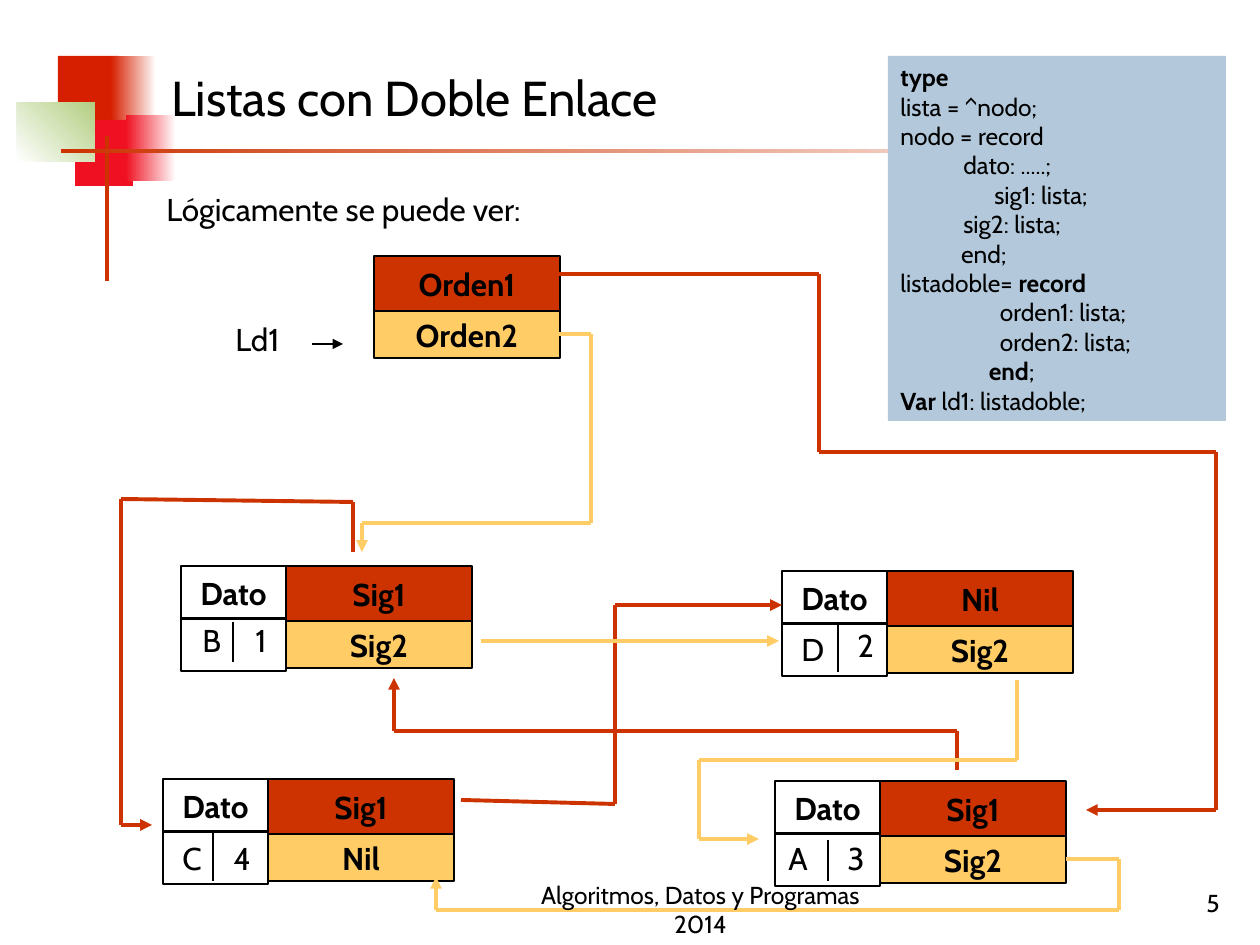
from itertools import pairwise

from lxml import etree
from pptx import Presentation
from pptx.dml.color import RGBColor
from pptx.enum.shapes import MSO_CONNECTOR, MSO_SHAPE
from pptx.enum.text import MSO_ANCHOR, PP_ALIGN
from pptx.oxml.ns import qn
from pptx.util import Pt

RECT = MSO_SHAPE.RECTANGLE
STRAIGHT = MSO_CONNECTOR.STRAIGHT
LEFT, CENTER, RIGHT = PP_ALIGN.LEFT, PP_ALIGN.CENTER, PP_ALIGN.RIGHT
TOP, MIDDLE, BOTTOM = MSO_ANCHOR.TOP, MSO_ANCHOR.MIDDLE, MSO_ANCHOR.BOTTOM

PX_PER_INCH = 126
COLORS = {
    "ink": "000000", "white": "FFFFFF", "order1": "CC3300", "order2": "FFCC66",
    "red": "D61F00", "crimson": "EF1121", "green": "B3CE82", "code": "B3C9DB",
}


def px(length):
    return round(length * 914400 / PX_PER_INCH)


def rgb(name):
    return RGBColor.from_string(COLORS[name])


def write(shape, text, size=18, bold=False, align=LEFT, anchor=TOP, wrap=True):
    """Fill a shape with one paragraph per line; **marks** enclose bold runs."""
    frame = shape.text_frame
    frame.word_wrap = wrap
    frame.vertical_anchor = anchor
    for index, line in enumerate(text.split("\n")):
        paragraph = frame.paragraphs[0] if index == 0 else frame.add_paragraph()
        paragraph.alignment = align
        for part, words in enumerate(line.split("**")):
            if words:
                run = paragraph.add_run()
                run.text = words
                run.font.name = "Cabin"
                run.font.size = Pt(size)
                run.font.bold = bold or part % 2 == 1
                run.font.color.rgb = rgb("ink")


class Board:
    def __init__(self, slide):
        self.shapes = slide.shapes

    def box(self, x, y, w, h, fill=None, fade=None, angle=0, outlined=False):
        """Rectangle with no fill, a plain fill, or a gradient from fill to fade."""
        shape = self.shapes.add_shape(RECT, px(x), px(y), px(w), px(h))
        shape.shadow.inherit = False
        if fade:
            shape.fill.gradient()
            shape.fill.gradient_angle = angle
            for stop, name in zip(shape.fill.gradient_stops, (fill, fade)):
                stop.color.rgb = rgb(name)
        elif fill:
            shape.fill.solid()
            shape.fill.fore_color.rgb = rgb(fill)
        else:
            shape.fill.background()
        if outlined:
            shape.line.color.rgb = rgb("ink")
            shape.line.width = Pt(0.75)
        else:
            shape.line.fill.background()
        return shape

    def label(self, x, y, w, h, text, **style):
        write(self.shapes.add_textbox(px(x), px(y), px(w), px(h)), text, **style)

    def cell(self, x, y, w, h, text, fill=None):
        write(self.box(x, y, w, h, fill, outlined=True), text,
              bold=True, align=CENTER, anchor=MIDDLE, wrap=False)

    def route(self, points, color="ink", width=2.25, arrow=True):
        """Chain of straight lines through the points, with an arrow at the end."""
        for start, end in pairwise(points):
            line = self.shapes.add_connector(
                STRAIGHT, *(px(value) for value in (*start, *end)))
            line.line.color.rgb = rgb(color)
            line.line.width = Pt(width)
            properties = line._element.spPr
            etree.SubElement(properties, qn("a:effectLst"))
        if arrow:
            outline = properties.find(qn("a:ln"))
            etree.SubElement(outline, qn("a:tailEnd"), type="triangle")

    def links(self, x, y, first, second):
        self.cell(x, y, 186, 55, first, "order1")
        self.cell(x, y + 55, 186, 47, second, "order2")

    def node(self, x, y, first, second):
        self.cell(x, y, 105, 53, "Dato")
        self.box(x, y + 52, 105, 53, outlined=True)
        self.links(x + 105, y, first, second)

    def data(self, letter, number, letter_at, number_at, divider):
        """Letter and number of a node, split by a divider (x, top, bottom)."""
        x, top, bottom = divider
        self.route([(x, top), (x, bottom)], width=1, arrow=False)
        self.label(*letter_at, 45, 50, letter, wrap=False)
        self.label(*number_at, 43, 50, number, wrap=False)


CODE = """**type**
lista = ^nodo;
nodo = record
\tdato: .....;
                 sig1: lista;
\tsig2: lista;
           end;
listadoble= **record**
                  orden1: lista;
                  orden2: lista;
                **end**;
**Var **ld1: listadoble;"""

NODES = [
    (181, 566, "Sig1", "Sig2"),
    (782, 571, "Nil", "Sig2"),
    (163, 779, "Sig1", "Nil"),
    (775, 781, "Sig1", "Sig2"),
]
NODE_DATA = [
    ("B", "1", (190, 615), (243, 615), (233, 622, 662)),
    ("D", "2", (789, 624), (845, 620), (838, 622, 672)),
    ("C", "4", (170, 833), (221, 833), (213, 830, 881)),
    ("A", "3", (776, 833), (835, 833), (828, 840, 881)),
]
ROUTES = {
    "order1": [
        [(541, 274), (819, 274), (819, 452), (1216, 452), (1216, 810), (1086, 810)],
        [(957, 770), (957, 731), (394, 731), (394, 678)],
        [(353, 552), (353, 502), (121, 499), (121, 825), (152, 825)],
        [(461, 800), (615, 804), (615, 605), (782, 605)],
    ],
    "order2": [
        [(541, 334), (591, 334), (591, 523), (362, 523), (362, 552)],
        [(481, 641), (779, 641)],
        [(1017, 680), (1017, 760), (699, 760), (699, 839), (759, 839)],
        [(1066, 859), (1119, 859), (1119, 910), (436, 910), (436, 877)],
    ],
}


def main():
    deck = Presentation()
    deck.slide_width, deck.slide_height = px(1260), px(945)
    board = Board(deck.slides.add_slide(deck.slide_layouts[6]))

    board.box(58, 56, 61, 65, "red")
    board.box(111, 56, 45, 65, "red", "white")
    board.box(75, 120, 58, 66, "crimson")
    board.box(126, 115, 50, 66, "crimson", "white")
    board.box(17, 103, 78, 59, "white", "green", angle=45)
    board.box(105, 136, 4, 145, "order1")
    board.box(61, 149, 1134, 4, "order1", "white")
    board.label(159, 29, 1074, 135, "Listas con Doble Enlace", size=28, anchor=MIDDLE)
    board.label(154, 184, 903, 50, "Lógicamente se puede ver:")

    for node in NODES:
        board.node(*node)
    board.links(374, 256, "Orden1", "Orden2")
    for color, routes in ROUTES.items():
        for points in routes:
            board.route(points, color)
    for entry in NODE_DATA:
        board.data(*entry)

    write(board.box(888, 56, 338, 365, "code"), CODE, size=14)
    board.label(223, 314, 100, 50, "Ld1")
    board.route([(312, 344), (343, 344)], width=0.75)
    board.label(970, 861, 262, 63, "5", size=14, align=RIGHT, anchor=BOTTOM)
    board.label(501, 882, 399, 63, "Algoritmos, Datos y Programas 2014",
                size=14, align=CENTER, anchor=BOTTOM)
    deck.save("out.pptx")


if __name__ == "__main__":
    main()
